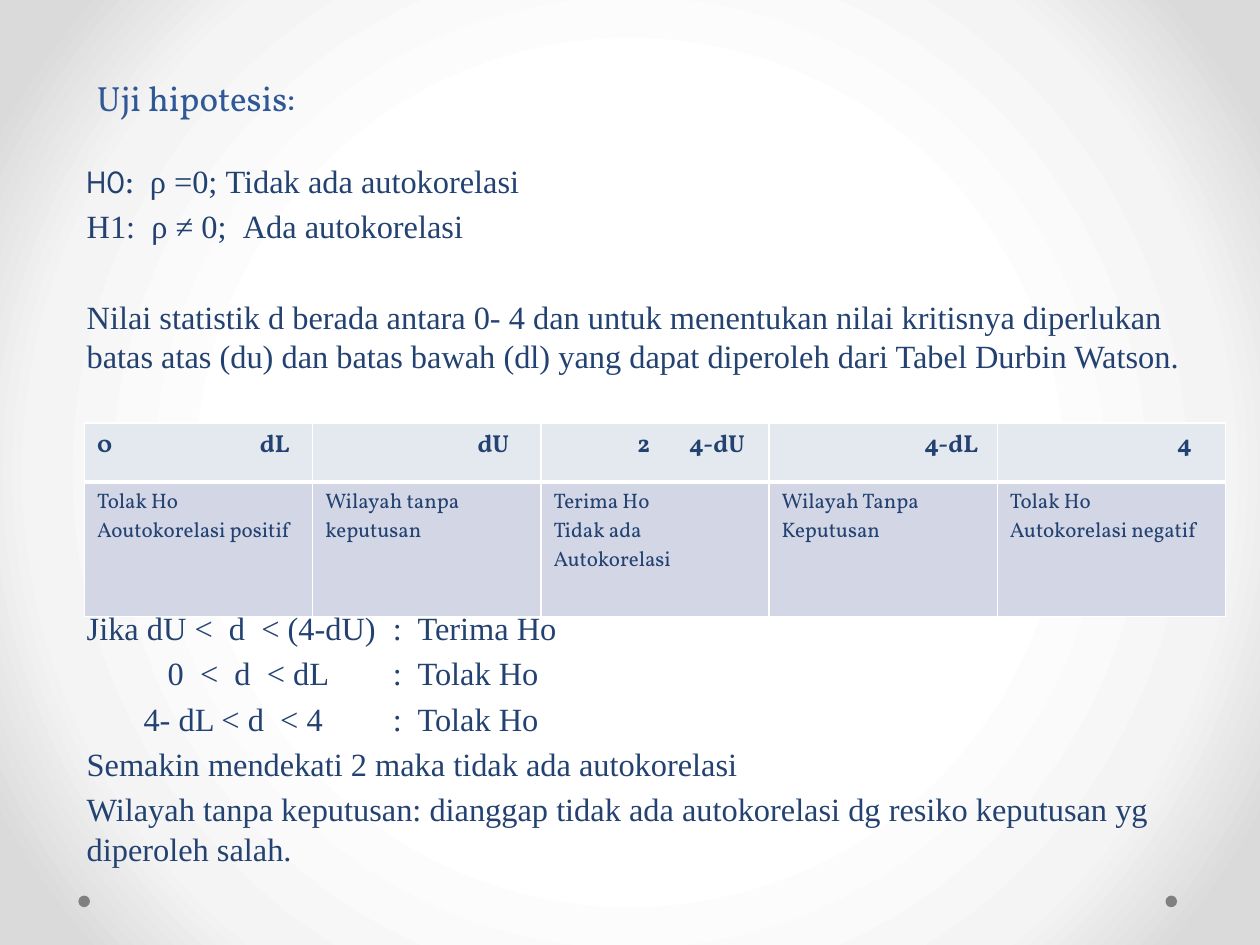
from pptx import Presentation
from pptx.dml.color import RGBColor
from pptx.enum.shapes import MSO_SHAPE
from pptx.enum.text import MSO_ANCHOR, PP_ALIGN
from pptx.oxml import parse_xml
from pptx.oxml.ns import nsdecls
from pptx.util import Pt

ELLIPSE = MSO_SHAPE.OVAL
BOTTOM = MSO_ANCHOR.BOTTOM
LEFT = PP_ALIGN.LEFT

TITLE_BLUE = RGBColor(0x2F, 0x58, 0x97)
TEXT_BLUE = RGBColor(0x23, 0x42, 0x71)
HEADER_FILL = RGBColor(0xE4, 0xE9, 0xEF)
BODY_FILL = RGBColor(0xD2, 0xD6, 0xE5)
DOT_GREY = RGBColor(0x80, 0x80, 0x80)

SERIF = "Times New Roman"
DISPLAY = "Vollkorn"
SANS = "League Spartan"


def format_runs(paragraph, font_name, size, color, bold=False):
    for run in paragraph.runs:
        run.font.name = font_name
        run.font.size = Pt(size)
        run.font.color.rgb = color
        run.font.bold = bold


def add_tab_stops(paragraph, positions):
    stops = "".join(f'<a:tab pos="{Pt(position)}" algn="l"/>' for position in positions)
    properties = paragraph._p.get_or_add_pPr()
    properties.append(parse_xml(f'<a:tabLst {nsdecls("a")}>{stops}</a:tabLst>'))


presentation = Presentation()
presentation.slide_width = Pt(720)
presentation.slide_height = Pt(540)
slide = presentation.slides.add_slide(presentation.slide_layouts[5])

# Background: round gradient, white in the centre
slide.background.fill.gradient()
gradient = slide.background._cSld.bg.bgPr[0]
for child in list(gradient):
    gradient.remove(child)
stops = "".join(
    f'<a:gs pos="{percent * 1000}"><a:srgbClr val="{color}"/></a:gs>'
    for percent, color in ((50, "FFFFFF"), (76, "F4F4F4"), (92, "DADADA"))
)
gradient.append(parse_xml(f'<a:gsLst {nsdecls("a")}>{stops}</a:gsLst>'))
gradient.append(parse_xml(
    f'<a:path {nsdecls("a")} path="circle">'
    '<a:fillToRect l="50000" t="50000" r="50000" b="50000"/></a:path>'
))

# Corner dots
for left in (666, 44.8):
    dot = slide.shapes.add_shape(ELLIPSE, Pt(left), Pt(511.8), Pt(6.6), Pt(6.6))
    dot.shadow.inherit = False
    dot.fill.solid()
    dot.fill.fore_color.rgb = DOT_GREY
    dot.line.fill.background()

# Title
title = slide.shapes.title
title.left, title.top, title.width, title.height = Pt(48.2), Pt(26), Pt(612), Pt(45.4)
title.text_frame.text = "Uji hipotesis:"
title.text_frame.vertical_anchor = BOTTOM
title_paragraph = title.text_frame.paragraphs[0]
title_paragraph.alignment = LEFT
format_runs(title_paragraph, DISPLAY, 20, TITLE_BLUE)

# Hypotheses and decision rules: text, space before, tab stops
LINE = 22.3
GAP = 3.6
PITCH = LINE + GAP
body_lines = [
    ("ρ =0; Tidak ada autokorelasi", 0, ()),
    ("H1:  ρ ≠ 0;  Ada autokorelasi", GAP, ()),
    ("Nilai statistik d berada antara 0- 4 dan untuk menentukan nilai kritisnya "
     "diperlukan batas atas (du) dan batas bawah (dl) yang dapat diperoleh dari "
     "Tabel Durbin Watson.", GAP + PITCH, ()),
    ("Jika dU <  d  < (4-dU)\t:  Terima Ho", GAP + 5 * PITCH, (175,)),
    ("\t0  <  d  < dL\t:  Tolak Ho", GAP, (46.3, 175)),
    ("\t4- dL < d  < 4\t:  Tolak Ho", GAP, (32.5, 175)),
    ("Semakin mendekati 2 maka tidak ada autokorelasi", GAP, ()),
    ("Wilayah tanpa keputusan: dianggap tidak ada autokorelasi dg resiko "
     "keputusan yg diperoleh salah.", GAP, ()),
]
body = slide.shapes.add_textbox(Pt(42.5), Pt(88.5), Pt(652.3), Pt(430.5))
body.text_frame.word_wrap = True
body.text_frame.text = "\n".join(text for text, _, _ in body_lines)
for paragraph, (_, space, tabs) in zip(body.text_frame.paragraphs, body_lines):
    paragraph.line_spacing = Pt(LINE)
    paragraph.space_before = Pt(space)
    if tabs:
        add_tab_stops(paragraph, tabs)
first_paragraph = body.text_frame.paragraphs[0]
first_paragraph.runs[0].text = "H0:  "
first_paragraph.add_run().text = body_lines[0][0]
for paragraph in body.text_frame.paragraphs:
    format_runs(paragraph, SERIF, 18.5, TEXT_BLUE)
first_paragraph.runs[0].font.name = SANS

# Table of decision regions: header, header tab stops, region
regions = [
    ("0\tdL", (93,), "Tolak Ho\nAoutokorelasi positif"),
    ("\tdU", (87,), "Wilayah tanpa\nkeputusan"),
    ("\t2\t4-dU", (48, 77.5), "Terima Ho\nTidak ada Autokorelasi"),
    ("\t4-dL", (81.5,), "Wilayah Tanpa\nKeputusan"),
    ("\t4", (95.5,), "Tolak Ho\nAutokorelasi negatif"),
]
table = slide.shapes.add_table(
    2, len(regions), Pt(48.3), Pt(241.6), Pt(652), Pt(110.8)
).table
table.rows[0].height = Pt(33.8)
table.rows[1].height = Pt(77)
row_styles = [
    (HEADER_FILL, 14, True, {"L": 1, "R": 1, "T": 1, "B": 3}),
    (BODY_FILL, 12, False, {"L": 1, "R": 1, "T": 3, "B": 1}),
]
for column, (header, tabs, region) in enumerate(regions):
    table.columns[column].width = Pt(130.4)
    for row, (fill, size, bold, borders) in enumerate(row_styles):
        cell = table.cell(row, column)
        cell.text_frame.text = (header, region)[row]
        for paragraph in cell.text_frame.paragraphs:
            format_runs(paragraph, DISPLAY, size, TEXT_BLUE, bold)
        cell_properties = cell._tc.get_or_add_tcPr()
        for side, width in borders.items():
            cell_properties.append(parse_xml(
                f'<a:ln{side} {nsdecls("a")} w="{Pt(width)}"><a:solidFill>'
                f'<a:srgbClr val="FFFFFF"/></a:solidFill></a:ln{side}>'
            ))
        cell.fill.solid()
        cell.fill.fore_color.rgb = fill
    add_tab_stops(table.cell(0, column).text_frame.paragraphs[0], tabs)

presentation.save("out.pptx")
